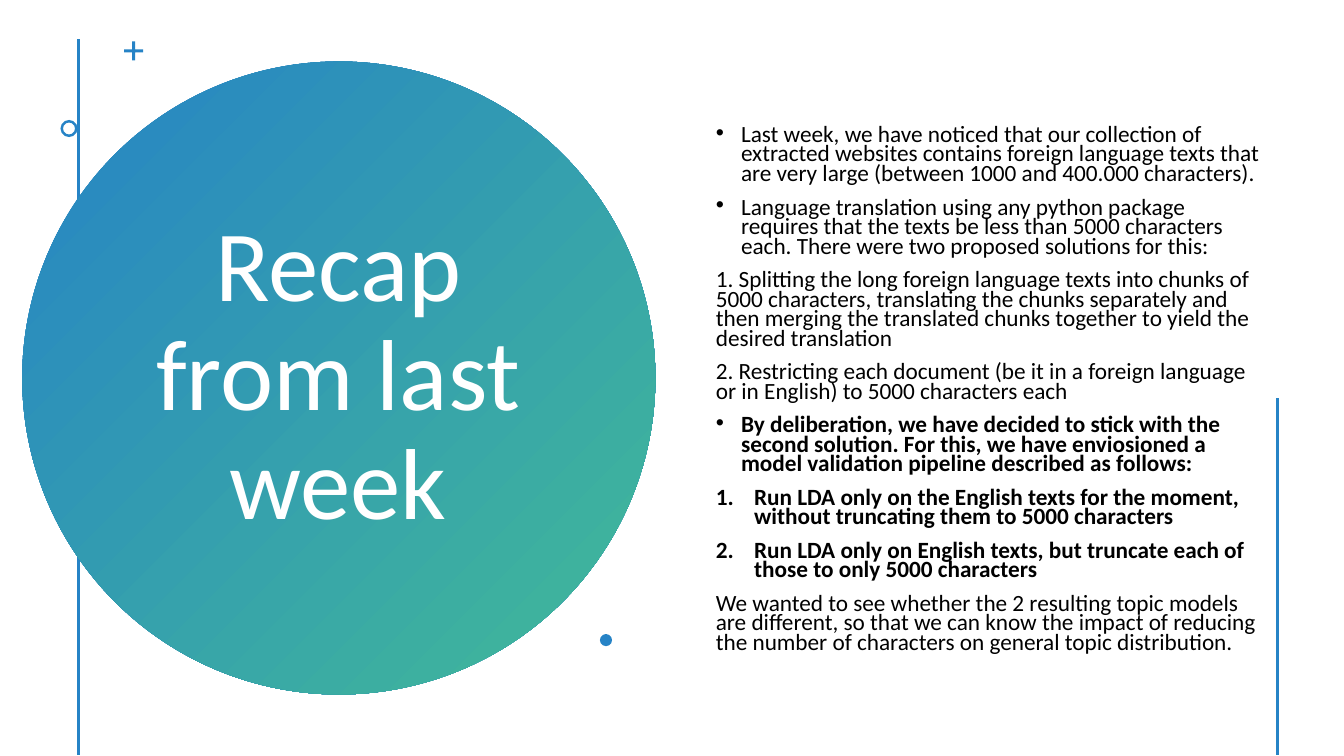
from lxml.etree import SubElement
from pptx import Presentation
from pptx.dml.color import RGBColor
from pptx.enum.shapes import MSO_CONNECTOR, MSO_SHAPE
from pptx.enum.text import MSO_ANCHOR, MSO_AUTO_SIZE, PP_ALIGN
from pptx.oxml.ns import qn
from pptx.util import Inches, Pt

BULLET, NUMBER, PLAIN = "bullet", "number", "plain"
INDENTS = {BULLET: 0.25, NUMBER: 0.38, PLAIN: 0}

# Body paragraphs: marker, bold, text
RECAP = [
    (BULLET, False, "Last week, we have noticed that our collection of extracted websites "
     "contains foreign language texts that are very large (between 1000 and 400.000 characters)."),
    (BULLET, False, "Language translation using any python package requires that the texts be "
     "less than 5000 characters each. There were two proposed solutions for this:"),
    (PLAIN, False, "1. Splitting the long foreign language texts into chunks of 5000 characters, "
     "translating the chunks separately and then merging the translated chunks together "
     "to yield the desired translation"),
    (PLAIN, False, "2. Restricting each document (be it in a foreign language or in English) "
     "to 5000 characters each"),
    (BULLET, True, "By deliberation, we have decided to stick with the second solution. For this, "
     "we have enviosioned a model validation pipeline described as follows:"),
    (NUMBER, True, "Run LDA only on the English texts for the moment, without truncating them "
     "to 5000 characters"),
    (NUMBER, True, "Run LDA only on English texts, but truncate each of those to only "
     "5000 characters"),
    (PLAIN, False, "We wanted to see whether the 2 resulting topic models are different, so that "
     "we can know the impact of reducing the number of characters on general topic distribution."),
]


def color(hex_code):
    return RGBColor.from_string(hex_code)


class RecapSlide:
    font = "Calibri"
    blue, green, white, black = "2683C6", "42BA97", "FFFFFF", "000000"

    def __init__(self, page):
        self.page = page

    def rule(self, x, top, bottom):
        line = self.page.shapes.add_connector(
            MSO_CONNECTOR.STRAIGHT, Inches(x), Inches(top), Inches(x), Inches(bottom))
        line.line.color.rgb = color(self.blue)
        line.line.width = Pt(2)
        SubElement(line._element.spPr, qn("a:effectLst"))

    def ornament(self, preset, left, top, size, adjustment=None):
        shape = self.page.shapes.add_shape(
            preset, Inches(left), Inches(top), Inches(size), Inches(size))
        shape.shadow.inherit = False
        shape.line.fill.background()
        shape.fill.solid()
        shape.fill.fore_color.rgb = color(self.blue)
        if adjustment is not None:
            shape.adjustments[0] = adjustment
        return shape

    def gradient_circle(self, left, top, size):
        circle = self.ornament(MSO_SHAPE.OVAL, left, top, size)
        circle.fill.gradient()
        circle.fill.gradient_angle = 315
        for stop, shade in zip(circle.fill.gradient_stops, (self.blue, self.green)):
            stop.color.rgb = color(shade)

    def place(self, box, left, top, width, height):
        """Positions a placeholder in front of everything drawn so far."""
        box.left, box.top = Inches(left), Inches(top)
        box.width, box.height = Inches(width), Inches(height)
        self.page.shapes._spTree.append(box._element)
        frame = box.text_frame
        frame.word_wrap = True
        frame.auto_size = MSO_AUTO_SIZE.NONE
        frame.vertical_anchor = MSO_ANCHOR.MIDDLE
        return frame

    def add_span(self, para, text, size, shade, bold=False):
        span = para.add_run()
        span.text = text
        span.font.name = self.font
        span.font.size = Pt(size)
        span.font.bold = bold
        span.font.color.rgb = color(shade)

    def title(self, text, *bounds):
        para = self.place(self.page.shapes.title, *bounds).paragraphs[0]
        para.alignment = PP_ALIGN.CENTER
        para.line_spacing = 0.9
        self.add_span(para, text, 72, self.white)

    def body(self, items, *bounds):
        frame = self.place(self.page.placeholders[1], *bounds)
        for index, (marker, bold, text) in enumerate(items):
            para = frame.add_paragraph() if index else frame.paragraphs[0]
            para.alignment = PP_ALIGN.LEFT
            para.line_spacing = 0.7
            para.space_before = Pt(10)
            self.mark(para, marker)
            self.add_span(para, text, 16.6, self.black, bold)

    def mark(self, para, marker):
        properties = para._p.get_or_add_pPr()
        indent = Inches(INDENTS[marker])
        properties.set("marL", str(indent))
        properties.set("indent", str(-indent))
        if marker == PLAIN:
            SubElement(properties, qn("a:buNone"))
        elif marker == NUMBER:
            SubElement(properties, qn("a:buFont"), typeface="+mj-lt")
            SubElement(properties, qn("a:buAutoNum"), type="arabicPeriod")
        else:
            SubElement(properties, qn("a:buFont"), typeface="Arial")
            SubElement(properties, qn("a:buChar"), char="•")


def main():
    deck = Presentation()
    deck.slide_width, deck.slide_height = Inches(13.33), Inches(7.5)
    slide = RecapSlide(deck.slides.add_slide(deck.slide_layouts[1]))

    # Left rule and title circle
    slide.rule(0.78, 0.39, 7.49)
    slide.gradient_circle(0.22, 0.61, 6.28)
    slide.title("Recap from last week", 1.36, 1.41, 3.99, 4.67)

    # Plus, ring and dot around the circle
    slide.ornament(MSO_SHAPE.CROSS, 1.23, 0.41, 0.19, 0.42)
    slide.ornament(MSO_SHAPE.DONUT, 0.6, 1.19, 0.17, 0.15)
    slide.ornament(MSO_SHAPE.OVAL, 5.95, 6.29, 0.12)

    # Recap text and right rule
    slide.body(RECAP, 7, 0.42, 5.67, 6.91)
    slide.rule(12.67, 3.95, 7.49)

    deck.save("out.pptx")


if __name__ == "__main__":
    main()
